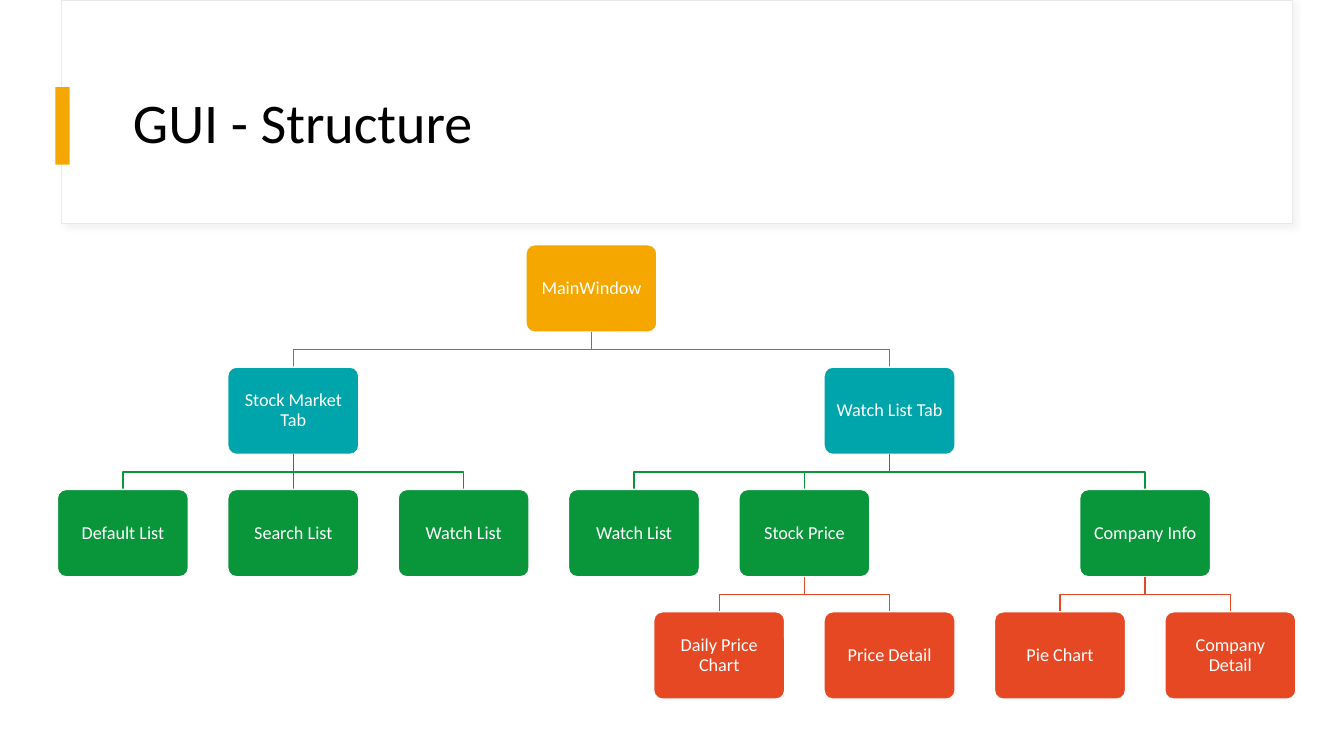
"""Build the GUI structure slide: a title banner above a tree of windows and tabs."""
from lxml.etree import SubElement
from pptx import Presentation
from pptx.dml.color import RGBColor
from pptx.enum.shapes import MSO_CONNECTOR, MSO_SHAPE
from pptx.enum.text import MSO_ANCHOR, PP_ALIGN
from pptx.oxml.ns import qn
from pptx.util import Pt

WHITE = RGBColor(0xFF, 0xFF, 0xFF)
BLACK = RGBColor(0x00, 0x00, 0x00)
PALE_GREY = RGBColor(0xE9, 0xE9, 0xE9)
SHADOW_GREY = RGBColor(0xD9, 0xD9, 0xD9)
AMBER = RGBColor(0xF5, 0xA7, 0x00)
TEAL = RGBColor(0x00, 0xA5, 0xAB)
GREEN = RGBColor(0x09, 0x96, 0x3B)
ORANGE = RGBColor(0xE6, 0x48, 0x23)

HEADING = "GUI - Structure"
# Each node is a label with either its column or its list of children.
WINDOW_TREE = ("MainWindow", [
    ("Stock Market Tab", [
        ("Default List", 0),
        ("Search List", 1),
        ("Watch List", 2),
    ]),
    ("Watch List Tab", [
        ("Watch List", 3),
        ("Stock Price", [("Daily Price Chart", 3.5), ("Price Detail", 4.5)]),
        ("Company Info", [("Pie Chart", 5.5), ("Company Detail", 6.5)]),
    ]),
])

LEVEL_COLOURS = [AMBER, TEAL, GREEN, ORANGE]
FIRST_CENTRE, COLUMN_STEP = 87.8, 121.7
FIRST_TOP, LEVEL_STEP = 174.8, 87.4
BOX_WIDTH, BOX_HEIGHT = 93.6, 62.4

HEADING_FRAME = {"vertical_anchor": MSO_ANCHOR.MIDDLE, "word_wrap": True}
BOX_FRAME = HEADING_FRAME | dict.fromkeys(
    ["margin_left", "margin_right", "margin_top", "margin_bottom"], Pt(5.4))
HEADING_PARAGRAPH = {"alignment": PP_ALIGN.LEFT, "line_spacing": 0.9}
BOX_PARAGRAPH = {"alignment": PP_ALIGN.CENTER, "line_spacing": 0.9}
HEADING_FONT = {"name": "Calibri", "size": Pt(40)}
BOX_FONT = {"name": "Calibri", "size": Pt(13)}


def apply(target, values):
    for key, value in values.items():
        setattr(target, key, value)


def write(shape, text, colour, frame, paragraph, font):
    shape.text_frame.text = text
    line = shape.text_frame.paragraphs[0]
    for target, values in [(shape.text_frame, frame), (line, paragraph), (line.runs[0].font, font)]:
        apply(target, values)
    line.runs[0].font.color.rgb = colour


def add_block(kind, left, top, width, height, fill, outline=None, weight=1):
    block = slide.shapes.add_shape(kind, Pt(left), Pt(top), Pt(width), Pt(height))
    block.shadow.inherit = False
    block.fill.solid()
    block.fill.fore_color.rgb = fill
    if outline is None:
        block.line.fill.background()
    else:
        block.line.color.rgb = outline
        block.line.width = Pt(weight)
    return block


def column_of(node):
    place = node[1]
    if isinstance(place, list):
        return (column_of(place[0]) + column_of(place[-1])) / 2
    return place


def centre_of(node):
    return FIRST_CENTRE + column_of(node) * COLUMN_STEP


def add_branch(parent_x, child_x, child_top, colour):
    start = child_top - LEVEL_STEP + BOX_HEIGHT
    middle = (start + child_top) / 2
    if parent_x == child_x:
        branch = slide.shapes.add_connector(
            MSO_CONNECTOR.STRAIGHT, Pt(parent_x), Pt(start), Pt(child_x), Pt(child_top))
        SubElement(branch.element.spPr, qn("a:effectLst"))
    else:
        outline = slide.shapes.build_freeform(Pt(parent_x), Pt(start))
        bends = [(parent_x, middle), (child_x, middle), (child_x, child_top)]
        outline.add_line_segments([(Pt(x), Pt(y)) for x, y in bends], close=False)
        branch = outline.convert_to_shape()
        branch.fill.background()
        branch.shadow.inherit = False
    branch.line.color.rgb = colour
    branch.line.width = Pt(1)


def add_node(node, level=0, parent_x=None):
    label, children = node
    centre, top = centre_of(node), FIRST_TOP + level * LEVEL_STEP
    colour = LEVEL_COLOURS[level]
    if parent_x is not None:
        add_branch(parent_x, centre, top, colour)
    box = add_block(MSO_SHAPE.ROUNDED_RECTANGLE, centre - BOX_WIDTH / 2, top,
                    BOX_WIDTH, BOX_HEIGHT, colour, WHITE)
    box.adjustments[0] = 0.1
    write(box, label, WHITE, BOX_FRAME, BOX_PARAGRAPH, BOX_FONT)
    if isinstance(children, list):
        for child in children:
            add_node(child, level + 1, centre)


deck = Presentation()
apply(deck, {"slide_width": Pt(960), "slide_height": Pt(540)})
slide = deck.slides.add_slide(deck.slide_layouts[5])

banner = add_block(MSO_SHAPE.RECTANGLE, 44.2, 0, 879, 159.4, WHITE, PALE_GREY, 0.75)
shadow = SubElement(banner.element.spPr.find(qn("a:effectLst")), qn("a:outerShdw"),
                    blurRad=str(Pt(4)), dist=str(Pt(3)), dir=str(45 * 60000))
shadow_colour = SubElement(shadow, qn("a:srgbClr"), val=str(SHADOW_GREY))
SubElement(shadow_colour, qn("a:alpha"), val="30000")
add_block(MSO_SHAPE.RECTANGLE, 39.6, 62.2, 10.2, 55.4, AMBER)

heading = slide.shapes.title
apply(heading, {"left": Pt(87.8), "top": Pt(43.2), "width": Pt(800.6), "height": Pt(92.9)})
write(heading, HEADING, BLACK, HEADING_FRAME, HEADING_PARAGRAPH, HEADING_FONT)
heading.element.getparent().append(heading.element)

add_node(WINDOW_TREE)
deck.save("out.pptx")
